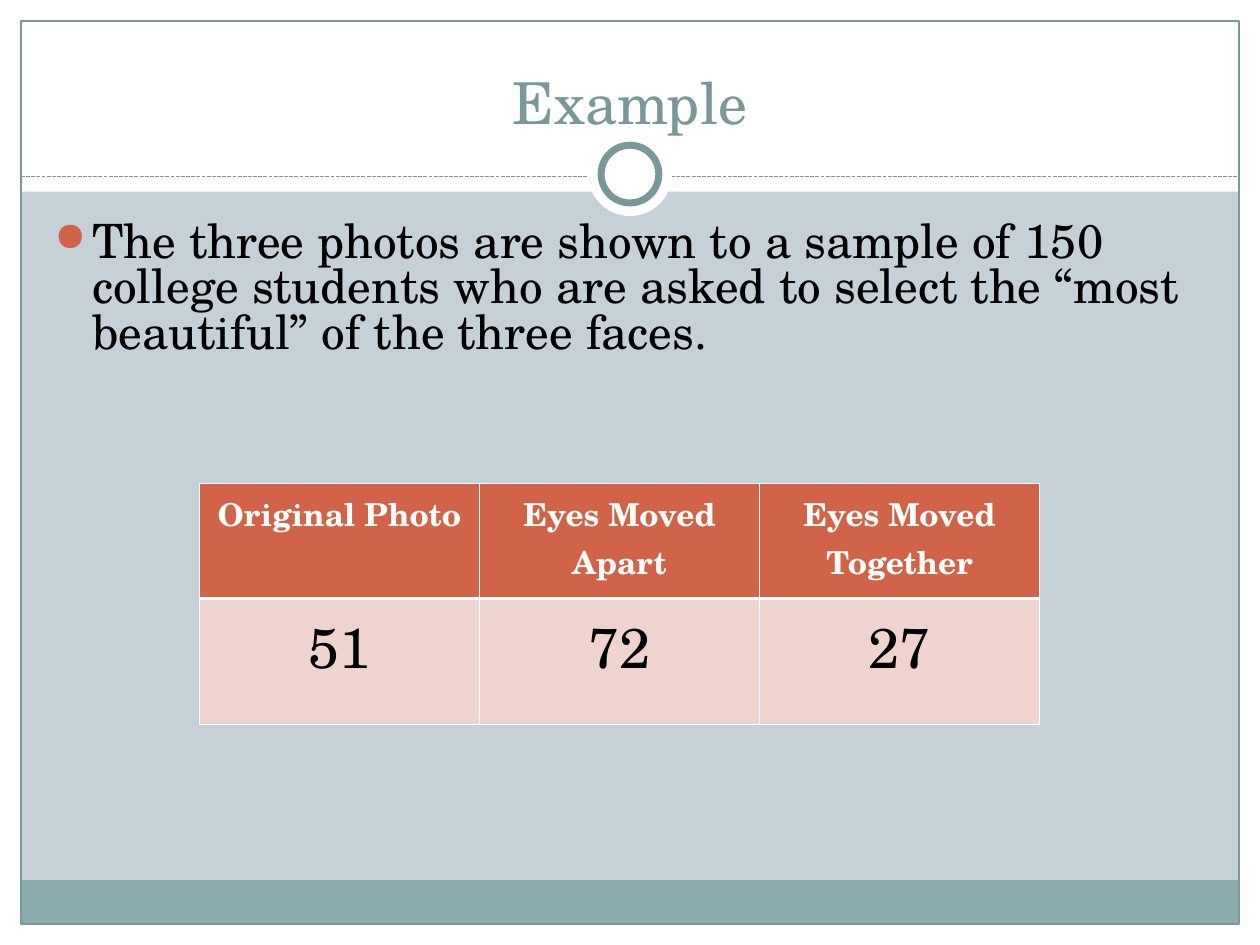
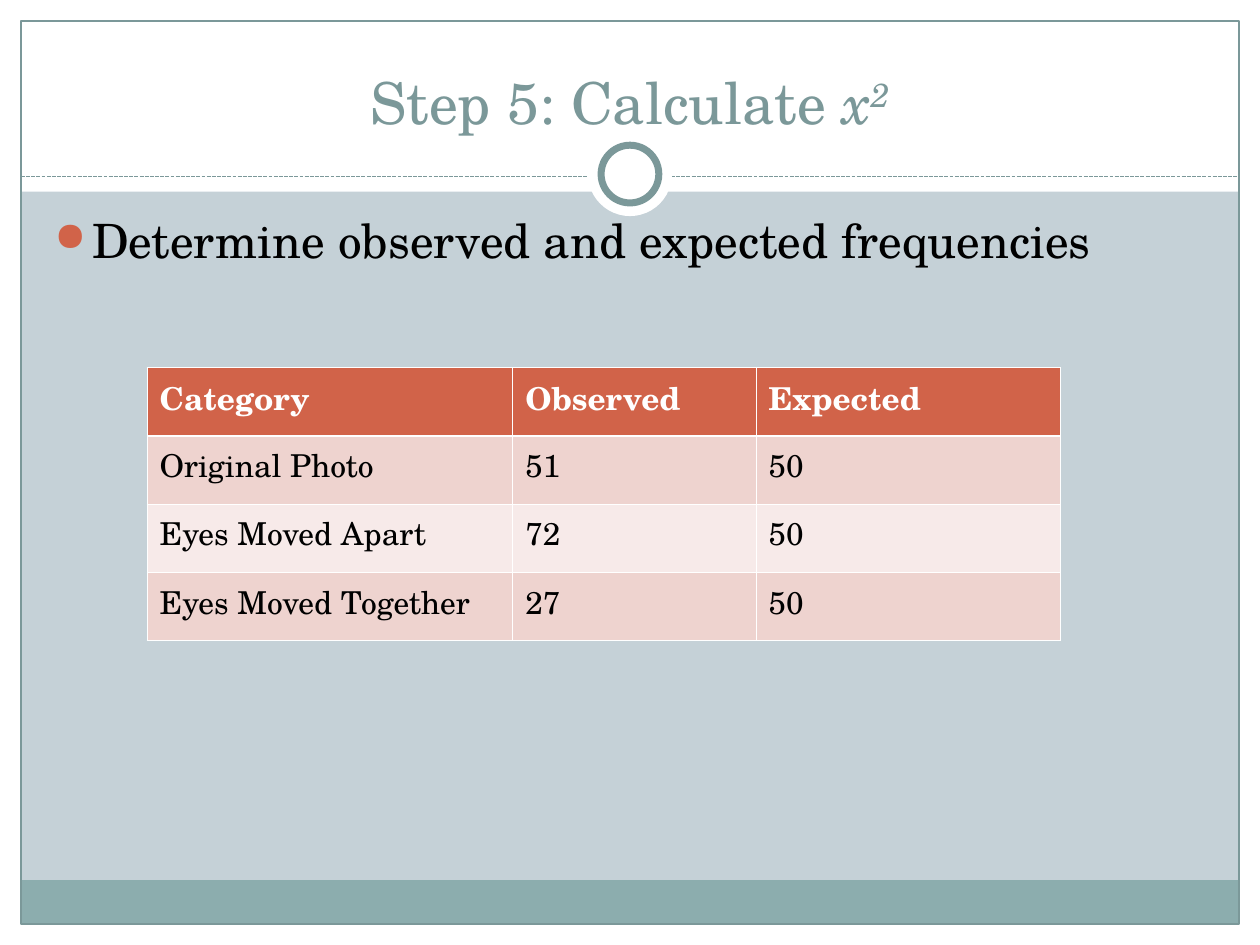
from lxml import etree
from pptx import Presentation
from pptx.dml.color import RGBColor
from pptx.enum.dml import MSO_LINE
from pptx.enum.shapes import MSO_CONNECTOR, MSO_SHAPE
from pptx.enum.text import MSO_ANCHOR, PP_ALIGN
from pptx.oxml.ns import qn
from pptx.util import Pt

FONT = "TeX Gyre Schola"
WHITE, BLACK, SLATE, TEAL = "FFFFFF", "000000", "7B9899", "8CADAE"
BACKGROUND, RUST, PINK, PALE = "C5D1D7", "D16349", "EED3CF", "F7EAE9"
WIDTH, HEIGHT, EDGE = 720, 540, 12
RULE_Y, RING_Y = 101, 99.5

SLIDES = [
    {
        "title": [("Example", {})],
        "bullet": "The three photos are shown to a sample of 150 college students "
                  "who are asked to select the “most beautiful” of the three faces.",
        "table": {
            "left": 114, "top": 276, "cols": [160] * 3, "rows": [66, 72],
            "body_size": 32, "align": PP_ALIGN.CENTER,
            "cells": [("Original Photo", "Eyes Moved Apart", "Eyes Moved Together"),
                      ("51", "72", "27")],
        },
    },
    {
        "title": [("Step 5: Calculate ", {}), ("x", {"italic": True}),
                  ("2", {"italic": True, "raised": True})],
        "bullet": "Determine observed and expected frequencies",
        "table": {
            "left": 84, "top": 210, "cols": [209, 139, 174], "rows": [39] * 4,
            "body_size": 18, "align": PP_ALIGN.LEFT,
            "cells": [("Category", "Observed", "Expected"),
                      ("Original Photo", "51", "50"),
                      ("Eyes Moved Apart", "72", "50"),
                      ("Eyes Moved Together", "27", "50")],
        },
    },
]


def rgb(color):
    return RGBColor.from_string(color)


def add_run(p, text, size, color, bold=False, italic=False, raised=False):
    r = p.add_run()
    r.text = text
    r.font.name, r.font.size = FONT, Pt(size)
    r.font.bold, r.font.italic = bold, italic
    r.font.color.rgb = rgb(color)
    if raised:
        r.font._element.set("baseline", "30000")


def add_panel(s, kind, box, fill=None, line=None, weight=0.75):
    sp = s.shapes.add_shape(kind, *map(Pt, box))
    sp.shadow.inherit = False
    if fill:
        sp.fill.solid()
        sp.fill.fore_color.rgb = rgb(fill)
    else:
        sp.fill.background()
    if line:
        sp.line.color.rgb, sp.line.width = rgb(line), Pt(weight)
    else:
        sp.line.fill.background()


def add_disc(s, size, **look):
    """Circle centred on the ring in the middle of the dashed rule."""
    box = ((WIDTH - size) / 2, RING_Y - size / 2, size, size)
    add_panel(s, MSO_SHAPE.OVAL, box, fill=WHITE, **look)


def add_frame(s):
    """Background, white margins, footer band, dashed rule and ring."""
    s.background.fill.solid()
    s.background.fill.fore_color.rgb = rgb(BACKGROUND)
    inner = WIDTH - 2 * EDGE
    for box, fill in [
        ((0, HEIGHT - EDGE, WIDTH, EDGE), WHITE),
        ((0, 0, WIDTH, 109.5), WHITE),
        ((0, 0, EDGE, HEIGHT), WHITE),
        ((WIDTH - EDGE, 0, EDGE, HEIGHT), WHITE),
        ((EDGE, 503, inner, 25), TEAL),
    ]:
        add_panel(s, MSO_SHAPE.RECTANGLE, box, fill)
    add_panel(s, MSO_SHAPE.RECTANGLE, (EDGE, EDGE, inner, HEIGHT - 2 * EDGE), line=SLATE)

    rule = s.shapes.add_connector(
        MSO_CONNECTOR.STRAIGHT, *map(Pt, (EDGE, RULE_Y, WIDTH - EDGE, RULE_Y)))
    rule.line.color.rgb, rule.line.width = rgb(SLATE), Pt(0.75)
    rule.line.dash_style = MSO_LINE.SQUARE_DOT
    etree.SubElement(rule._element.spPr, qn("a:effectLst"))

    add_disc(s, 48)
    add_disc(s, 33, line=SLATE, weight=4)


def add_text_box(s, box, top_inset=0, anchor=MSO_ANCHOR.TOP):
    tf = s.shapes.add_textbox(*map(Pt, box)).text_frame
    tf.word_wrap = True
    tf.vertical_anchor = anchor
    tf.margin_top, tf.margin_bottom = Pt(top_inset), 0
    return tf.paragraphs[0]


def add_title(s, parts):
    p = add_text_box(s, (24, 18, 672, 60), anchor=MSO_ANCHOR.BOTTOM)
    p.alignment = PP_ALIGN.CENTER
    for text, look in parts:
        add_run(p, text, 33, SLATE, **look)


def add_bullet(s, text):
    p = add_text_box(s, (24, 120, 670, 360), top_inset=7)
    pPr = p._p.get_or_add_pPr()
    pPr.set("marL", str(Pt(21.6)))
    pPr.set("indent", str(-Pt(21.6)))
    color = etree.SubElement(pPr, qn("a:buClr"))
    etree.SubElement(color, qn("a:srgbClr"), val=RUST)
    etree.SubElement(pPr, qn("a:buSzPct"), val="85000")
    etree.SubElement(pPr, qn("a:buChar"), char="●")
    p.line_spacing = 0.8
    add_run(p, text, 27, BLACK)


def set_borders(cell, **weights):
    tcPr = cell._tc.get_or_add_tcPr()
    for i, side in enumerate("LRTB"):
        ln = etree.Element(qn(f"a:ln{side}"), w=str(Pt(weights.get(side, 0.45))))
        fill = etree.SubElement(ln, qn("a:solidFill"))
        etree.SubElement(fill, qn("a:srgbClr"), val=WHITE)
        tcPr.insert(i, ln)


def add_table(s, left, top, cols, rows, body_size, align, cells):
    box = (left, top, sum(cols), sum(rows))
    table = s.shapes.add_table(len(rows), len(cols), *map(Pt, box)).table
    for column, width in zip(table.columns, cols):
        column.width = Pt(width)
    for i, (height, texts) in enumerate(zip(rows, cells)):
        table.rows[i].height = Pt(height)
        header = i == 0
        for j, text in enumerate(texts):
            cell = table.cell(i, j)
            cell.fill.solid()
            cell.fill.fore_color.rgb = rgb(RUST if header else PINK if i % 2 else PALE)
            set_borders(cell, T=1.47 if i == 1 else 0.45, B=1.47 if header else 0.45)
            p = cell.text_frame.paragraphs[0]
            p.alignment = align
            add_run(p, text, 18 if header else body_size,
                    WHITE if header else BLACK, bold=header)


def main():
    prs = Presentation()
    prs.slide_width, prs.slide_height = Pt(WIDTH), Pt(HEIGHT)
    for content in SLIDES:
        s = prs.slides.add_slide(prs.slide_layouts[6])
        add_frame(s)
        add_title(s, content["title"])
        add_bullet(s, content["bullet"])
        add_table(s, **content["table"])
    prs.save("out.pptx")


if __name__ == "__main__":
    main()
